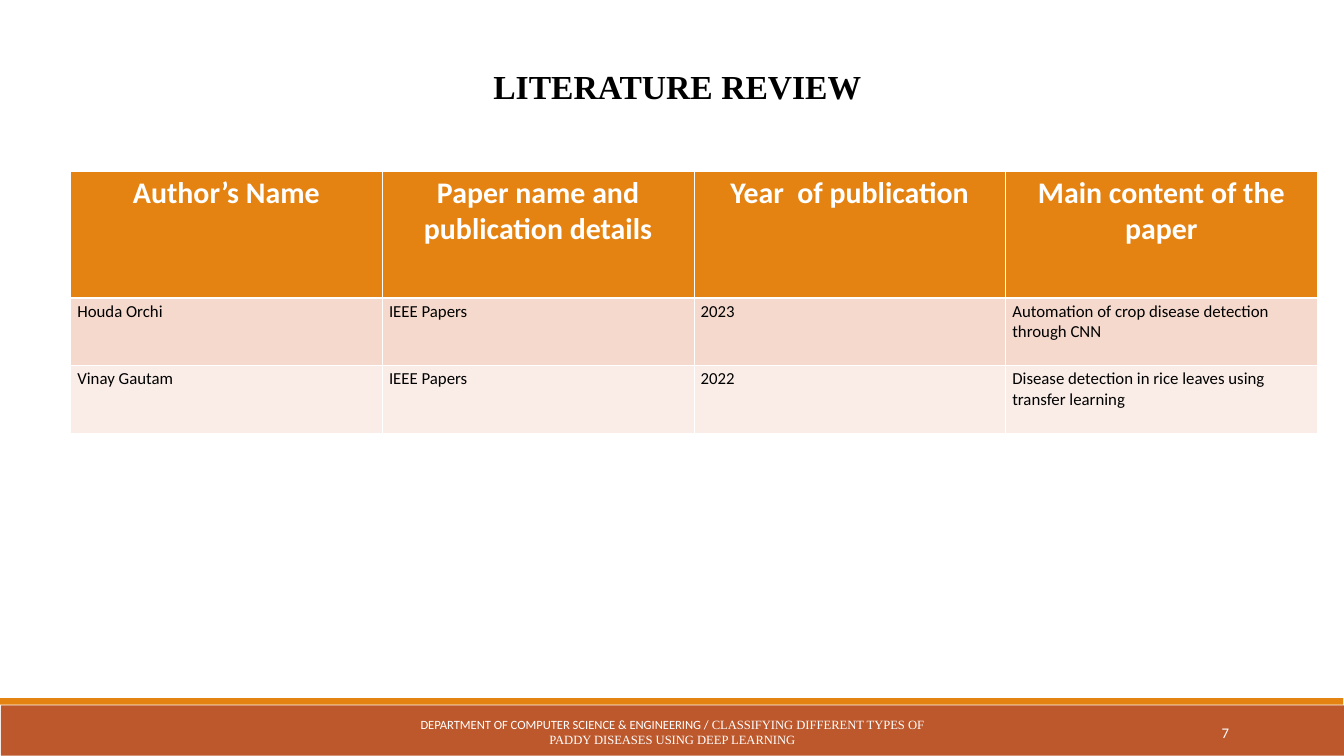
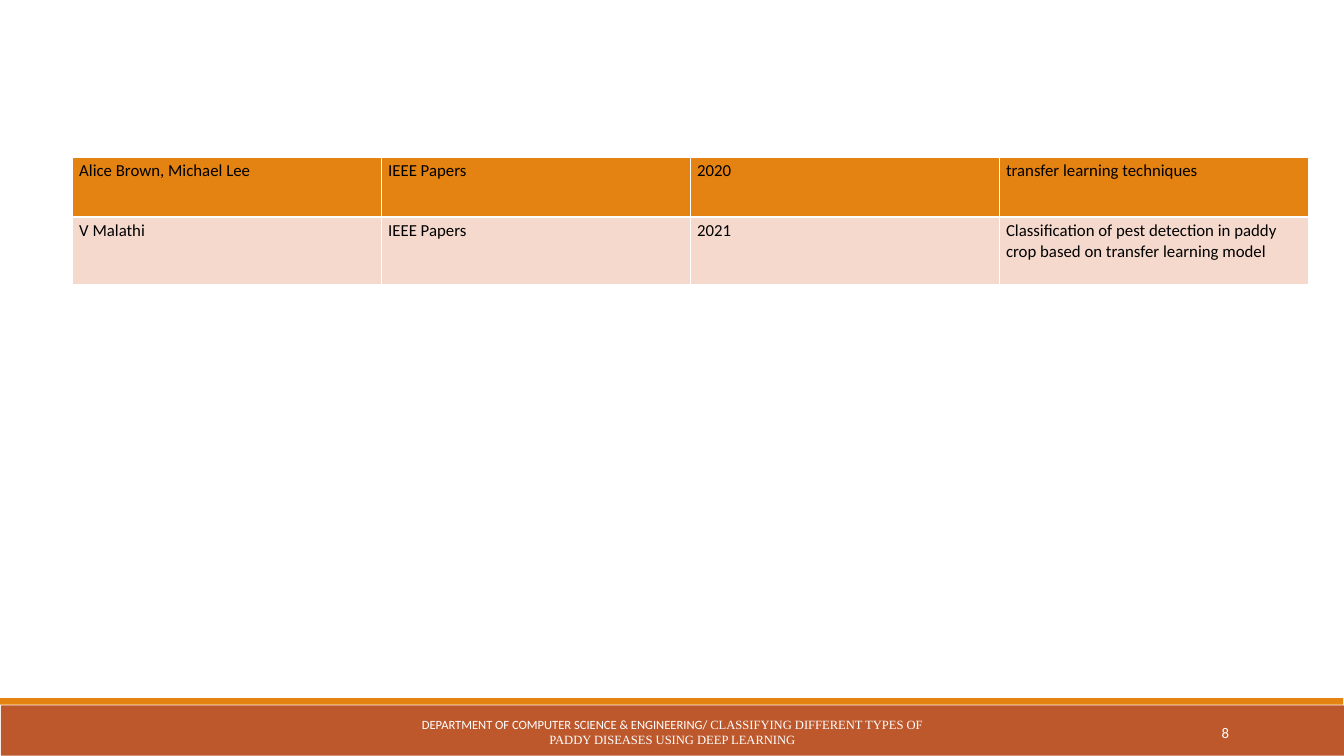
from lxml.etree import SubElement
from pptx import Presentation
from pptx.dml.color import RGBColor
from pptx.enum.shapes import MSO_SHAPE
from pptx.enum.text import MSO_ANCHOR, MSO_AUTO_SIZE, PP_ALIGN
from pptx.oxml.ns import qn
from pptx.util import Cm, Pt

WHITE = RGBColor(0xFF, 0xFF, 0xFF)
BLACK = RGBColor(0x00, 0x00, 0x00)
ORANGE = RGBColor(0xE4, 0x83, 0x12)
RUST = RGBColor(0xBD, 0x58, 0x2C)
PEACH = RGBColor(0xF5, 0xD9, 0xCC)
PALE_PEACH = RGBColor(0xFA, 0xED, 0xE7)

SANS = "Calibri"
SERIF = "Times New Roman"
TITLE_ONLY, BLANK = 5, 6
TOPIC = "CLASSIFYING DIFFERENT TYPES OF PADDY DISEASES USING DEEP LEARNING"

HEADINGS = ["Author’s Name", "Paper name and publication details",
            "Year  of publication", "Main content of the paper"]
FIRST_PAPERS = [
    ["Houda Orchi", "IEEE Papers", "2023",
     "Automation of crop disease detection through CNN"],
    ["Vinay Gautam", "IEEE Papers", "2022",
     "Disease detection in rice leaves using transfer learning"],
]
MORE_PAPERS = [
    ["Alice Brown, Michael Lee", "IEEE Papers", "2020",
     "transfer learning techniques"],
    ["V Malathi", "IEEE Papers", "2021",
     "Classification of pest detection in paddy crop based on transfer learning model"],
]


def add_text(paragraph, text, size=18, font=SANS, color=BLACK, bold=False,
             align=PP_ALIGN.LEFT):
    paragraph.alignment = align
    run = paragraph.add_run()
    run.text = text
    run.font.size = Pt(size)
    run.font.name = font
    run.font.bold = bold
    run.font.color.rgb = color


def add_band(slide, left, top, width, height, color):
    band = slide.shapes.add_shape(MSO_SHAPE.RECTANGLE, Cm(left), Cm(top),
                                  Cm(width), Cm(height))
    band.shadow.inherit = False
    band.fill.solid()
    band.fill.fore_color.rgb = color
    band.line.fill.background()
    return band


def add_master_bands(presentation, slide):
    bands = [add_band(slide, 0.03, 26.67, 50.77, 1.9, RUST),
             add_band(slide, 0, 26.39, 50.77, 0.25, ORANGE)]
    master_shapes = presentation.slide_master.shapes.element
    for position, band in enumerate(bands, start=2):
        master_shapes.insert(position, band.element)


def add_footer_box(slide, left, width):
    box = slide.shapes.add_textbox(Cm(left), Cm(26.92), Cm(width), Cm(1.52))
    box.text_frame.word_wrap = True
    box.text_frame.vertical_anchor = MSO_ANCHOR.MIDDLE
    return box.text_frame.paragraphs[0]


def add_footer(slide, department, number):
    paragraph = add_footer_box(slide, 15.37, 20.09)
    for text, font in ((department, SANS), (TOPIC, SERIF)):
        add_text(paragraph, text, size=13.5, font=font, color=WHITE,
                 align=PP_ALIGN.CENTER)
    add_text(add_footer_box(slide, 41.25, 5.46), str(number), size=15.8,
             color=WHITE, align=PP_ALIGN.RIGHT)


def set_title(slide, text):
    title = slide.shapes.title
    title.left, title.top, title.width, title.height = (
        Cm(1.55), Cm(1.6), Cm(46.84), Cm(2.29))
    frame = title.text_frame
    frame.word_wrap = True
    frame.auto_size = MSO_AUTO_SIZE.NONE
    frame.vertical_anchor = MSO_ANCHOR.TOP
    paragraph = frame.paragraphs[0]
    paragraph.line_spacing = 1.5
    properties = paragraph._p.get_or_add_pPr()
    properties.set("marL", str(Cm(1.27)))
    properties.set("indent", "0")
    add_text(paragraph, text, size=36, font=SERIF, bold=True,
             align=PP_ALIGN.CENTER)


def set_borders(cell, top, bottom):
    properties = cell._tc.get_or_add_tcPr()
    sides = (("a:lnL", 1), ("a:lnR", 1), ("a:lnT", top), ("a:lnB", bottom))
    for position, (tag, width) in enumerate(sides):
        line = SubElement(properties, qn(tag), w=str(Pt(width)))
        fill = SubElement(line, qn("a:solidFill"))
        SubElement(fill, qn("a:srgbClr"), val=str(WHITE))
        properties.insert(position, line)


def add_paper_table(slide, rows, left, top, width, heights, first_row_format):
    columns = len(rows[0])
    table = slide.shapes.add_table(len(rows), columns, Cm(left), Cm(top),
                                   Cm(width), Cm(sum(heights))).table
    for row, height in zip(table.rows, heights):
        row.height = Cm(height)
    fills = (ORANGE, PEACH, PALE_PEACH)
    for row_index, row in enumerate(rows):
        text_format = {} if row_index else first_row_format
        for column_index, text in enumerate(row):
            cell = table.cell(row_index, column_index)
            cell.fill.solid()
            cell.fill.fore_color.rgb = fills[row_index]
            set_borders(cell, top=3 if row_index == 1 else 1,
                        bottom=1 if row_index else 3)
            add_text(cell.text_frame.paragraphs[0], text, **text_format)


def main():
    presentation = Presentation()
    presentation.slide_width = Cm(50.8)
    presentation.slide_height = Cm(28.58)
    layouts = presentation.slide_layouts

    review = presentation.slides.add_slide(layouts[TITLE_ONLY])
    add_master_bands(presentation, review)
    add_footer(review, "DEPARTMENT OF COMPUTER SCIENCE & ENGINEERING / ", 7)
    set_title(review, "LITERATURE REVIEW")
    heading_format = {"size": 32, "color": WHITE, "bold": True,
                      "align": PP_ALIGN.CENTER}
    add_paper_table(review, [HEADINGS] + FIRST_PAPERS, 2.67, 6.48, 47.12,
                    [4.78, 2.56, 2.56], heading_format)

    continuation = presentation.slides.add_slide(layouts[BLANK])
    add_footer(continuation, "DEPARTMENT OF COMPUTER SCIENCE & ENGINEERING/ ", 8)
    add_paper_table(continuation, MORE_PAPERS, 2.74, 5.94, 46.71,
                    [2.27, 2.53], {})

    presentation.save("out.pptx")


if __name__ == "__main__":
    main()
